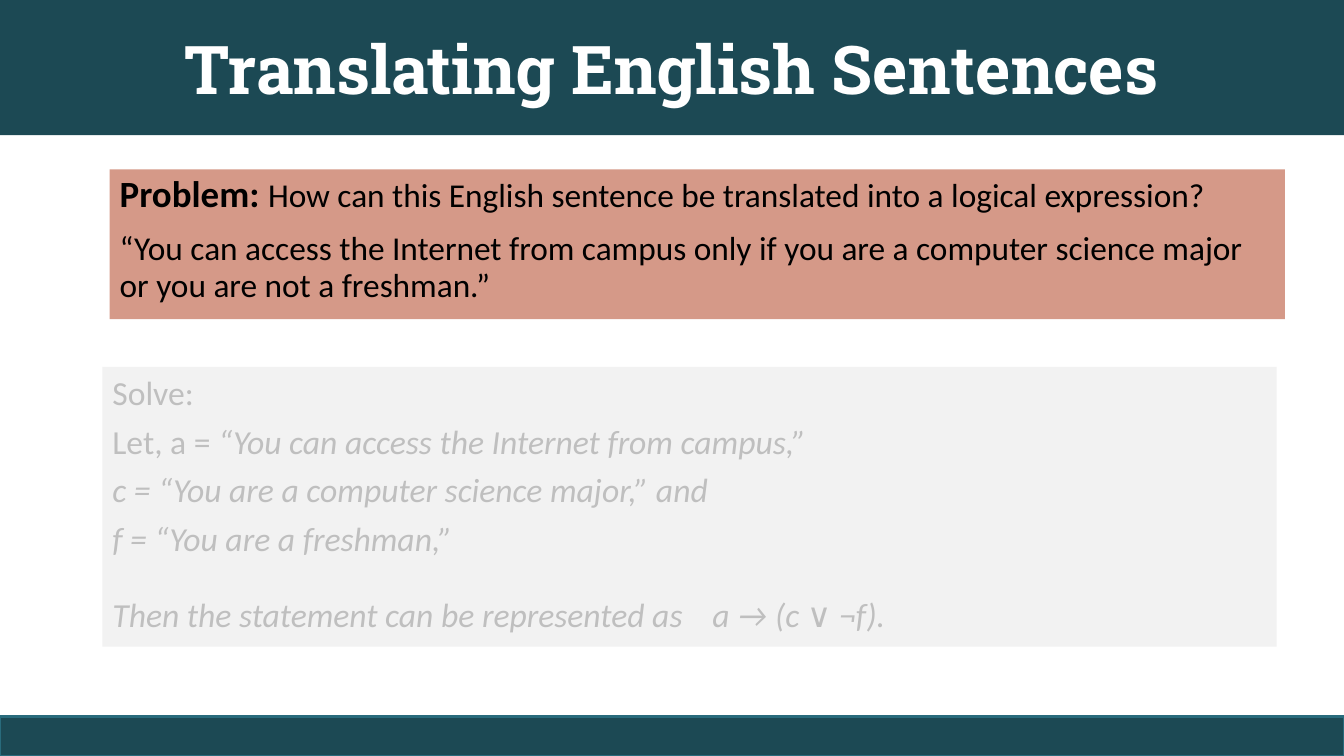
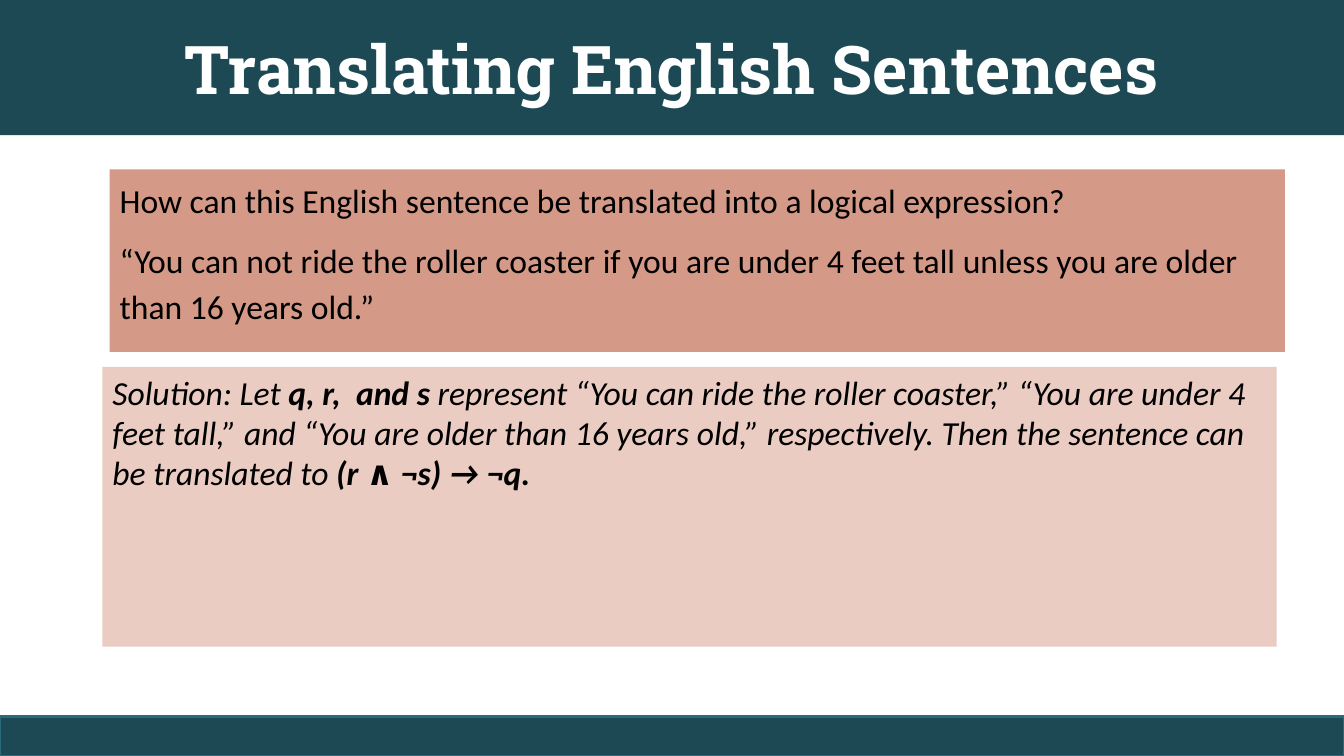
from dataclasses import dataclass

from lxml import etree
from pptx import Presentation
from pptx.dml.color import RGBColor
from pptx.enum import shapes, text
from pptx.oxml import ns
from pptx.util import Pt

TEAL = RGBColor(0x1C, 0x49, 0x54)
EDGE = RGBColor(0x29, 0x6B, 0x7C)
CLAY = RGBColor(0xD5, 0x99, 0x88)
BLUSH = RGBColor(0xEA, 0xCC, 0xC3)
PALE = RGBColor(0xF2, 0xF2, 0xF2)
GREY = RGBColor(0xBF, 0xBF, 0xBF)
BLACK = RGBColor(0, 0, 0)
WHITE = RGBColor(0xFF, 0xFF, 0xFF)

BODY, HEAD = "Calibri", "Roboto Slab"
TITLE = "Translating English Sentences"
WIDE, HIGH = 960, 540


@dataclass
class Piece:
    words: str
    bold: bool = False
    slant: bool = False
    size: float | None = None


@dataclass
class Para:
    pieces: list[Piece]
    before: float = 0
    after: float = 0
    lead: float = 1
    tab: float | None = None


@dataclass
class Panel:
    left: float
    top: float
    width: float
    height: float
    fill: RGBColor
    ink: RGBColor
    size: float
    paras: list[Para]


# Shared builders
def add_box(slide, left: float, top: float, width: float, height: float,
            fill: RGBColor):
    box = slide.shapes.add_shape(shapes.MSO_SHAPE.RECTANGLE, Pt(left), Pt(top),
                                 Pt(width), Pt(height))
    box.shadow.inherit = False
    box.fill.solid()
    box.fill.fore_color.rgb = fill
    box.line.fill.background()
    return box


def add_tab(para, pos: float) -> None:
    props = para._p.get_or_add_pPr()
    stops = etree.SubElement(props, ns.qn("a:tabLst"))
    etree.SubElement(stops, ns.qn("a:tab"), pos=str(int(Pt(pos))), algn="l")


def style(font, face: str, size: float, ink: RGBColor, bold: bool = False,
          slant: bool = False) -> None:
    font.name, font.size = face, Pt(size)
    font.bold, font.italic = bold, slant
    font.color.rgb = ink


def add_panel(slide, panel: Panel) -> None:
    box = add_box(slide, panel.left, panel.top, panel.width, panel.height,
                  panel.fill)
    frame = box.text_frame
    frame.word_wrap = True
    frame.vertical_anchor = text.MSO_ANCHOR.TOP
    for n, item in enumerate(panel.paras):
        para = frame.add_paragraph() if n else frame.paragraphs[0]
        if item.tab:
            add_tab(para, item.tab)
        para.alignment = text.PP_ALIGN.LEFT
        para.line_spacing = item.lead
        para.space_before = Pt(item.before)
        para.space_after = Pt(item.after)
        for piece in item.pieces:
            run = para.add_run()
            run.text = piece.words
            style(run.font, BODY, piece.size or panel.size, panel.ink,
                  piece.bold, piece.slant)


def add_frame(slide) -> None:
    # Title band
    band = add_box(slide, 0, 0, WIDE, 96.5, TEAL)
    frame = band.text_frame
    frame.word_wrap = True
    frame.vertical_anchor = text.MSO_ANCHOR.MIDDLE
    frame.text = TITLE
    para = frame.paragraphs[0]
    para.alignment = text.PP_ALIGN.CENTER
    style(para.runs[0].font, HEAD, 48, WHITE, bold=True)
    # Footer band
    foot = add_box(slide, 0, HIGH - 28, WIDE, 28, TEAL)
    foot.line.color.rgb = EDGE
    foot.line.width = Pt(2)


# Panel kinds
def task(height: float, size: float, paras: list[Para]) -> Panel:
    return Panel(78.4, 121, 839.5, height, CLAY, BLACK, size, paras)


def answer(fill: RGBColor, ink: RGBColor, paras: list[Para]) -> Panel:
    return Panel(73.2, 262, 838.8, 200, fill, ink, 24, paras)


ASK = "How can this English sentence be translated into a logical expression?"

SLIDES = [
    # Campus access
    [
        task(107, 23.8, [
            Para([Piece("Problem: ", bold=True, size=26.4), Piece(ASK)],
                 lead=0.94),
            Para([Piece("“You can access the Internet from campus only if you "
                        "are a computer science major or you are not a "
                        "freshman.”")], before=10, lead=0.94),
        ]),
        answer(PALE, GREY, [
            Para([Piece("Solve:")], after=6),
            Para([Piece("Let, a = "),
                  Piece("“You can access the Internet from campus,”",
                        slant=True)], after=6),
            Para([Piece("c = “You are a computer science major,” and",
                        slant=True)], after=6),
            Para([Piece("f = “You are a freshman,”", slant=True)], after=6),
            Para([Piece("Then the statement can be represented as\ta → (c ",
                        slant=True),
                  Piece("∨"), Piece(" ¬f).", slant=True)],
                 before=19.4, after=6, tab=428.5),
        ]),
    ],
    # Roller coaster
    [
        task(130.3, 24, [
            Para([Piece(ASK)], lead=1.14),
            Para([Piece("“You can not ride the roller coaster if you are under "
                        "4 feet tall unless you are older than 16 years "
                        "old.”")], before=10, lead=1.14),
        ]),
        answer(BLUSH, BLACK, [
            Para([Piece("Solution: Let ", slant=True),
                  Piece("q, r,  and s ", bold=True, slant=True),
                  Piece("represent “You can ride the roller coaster,” “You are "
                        "under 4 feet tall,” and “You are older than 16 years "
                        "old,” respectively. Then the sentence can be "
                        "translated to ", slant=True),
                  Piece("(r ", bold=True, slant=True),
                  Piece("∧ ", bold=True),
                  Piece("¬s) → ¬q.", bold=True, slant=True)], after=6),
        ]),
    ],
]


def main() -> None:
    deck = Presentation()
    deck.slide_width, deck.slide_height = Pt(WIDE), Pt(HIGH)
    blank = deck.slide_layouts[6]
    for panels in SLIDES:
        slide = deck.slides.add_slide(blank)
        add_frame(slide)
        for panel in panels:
            add_panel(slide, panel)
    deck.save("out.pptx")


if __name__ == "__main__":
    main()
